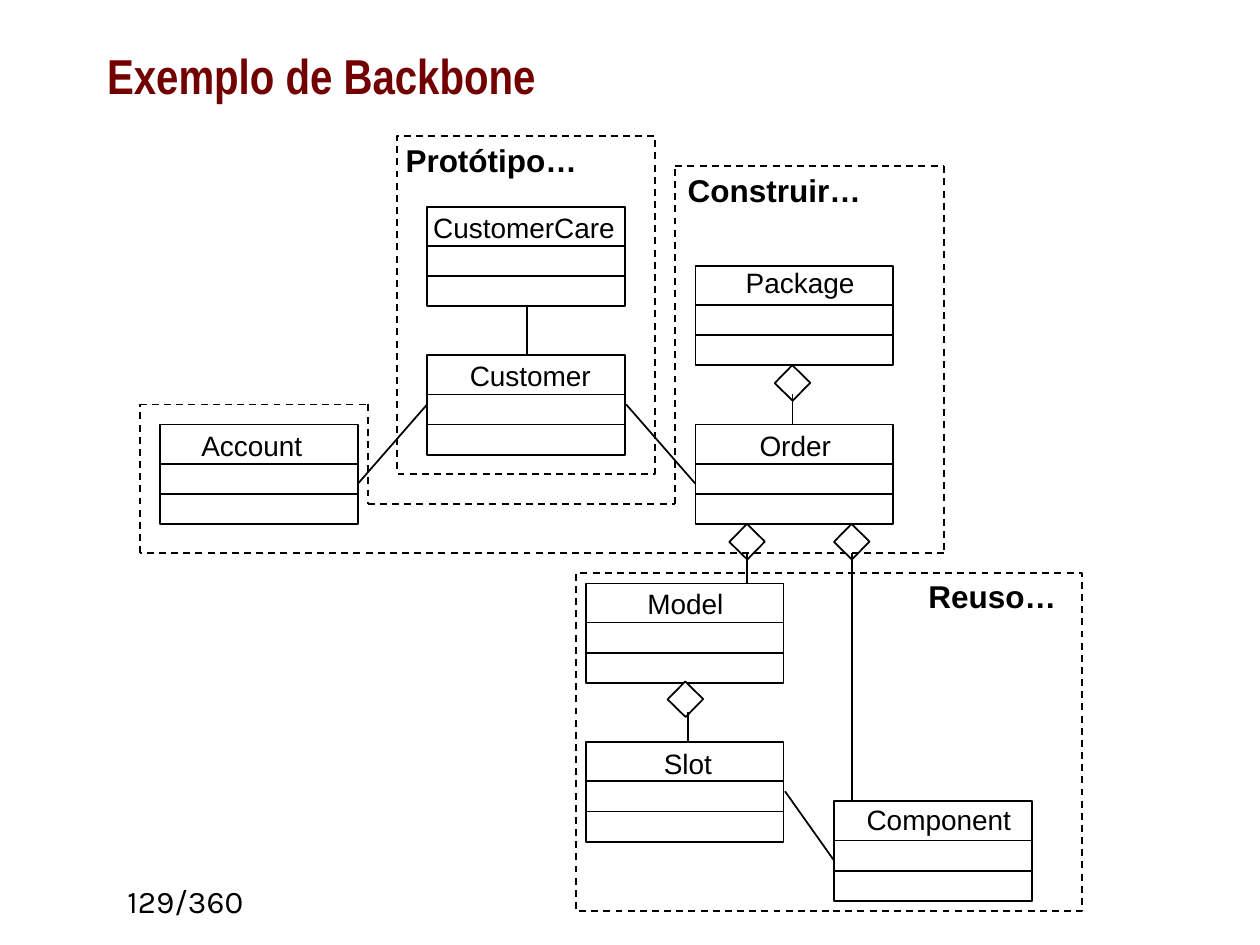
from dataclasses import dataclass
from itertools import pairwise

import pptx
import pptx.dml.color
import pptx.enum.dml
import pptx.enum.shapes
import pptx.enum.text
import pptx.oxml
import pptx.oxml.ns
import pptx.util

Inches = pptx.util.Inches
Pt = pptx.util.Pt
Point = tuple[float, float]

BLACK = pptx.dml.color.RGBColor(0x00, 0x00, 0x00)
WHITE = pptx.dml.color.RGBColor(0xFF, 0xFF, 0xFF)
MAROON = pptx.dml.color.RGBColor(0x72, 0x00, 0x00)

CLASS_WIDTH, CLASS_HEIGHT = 1.57, 0.79
COMPARTMENT_OFFSETS = (0.31, 0.55)
DIAMOND_SIDE, DIAMOND_ANGLE = 0.2, 44.4


@dataclass(frozen=True)
class Label:
    text: str
    left: float
    top: float
    width: float
    height: float = 0.37
    size: int = 16
    bold: bool = False


@dataclass(frozen=True)
class UmlClass:
    left: float
    top: float
    label: Label


@dataclass(frozen=True)
class Region:
    left: float
    top: float
    width: float
    height: float
    label: Label


CLASSES = (
    UmlClass(3.39, 1.64, Label("CustomerCare", 3.34, 1.62, 1.66)),
    UmlClass(3.39, 2.82, Label("Customer", 3.63, 2.8, 1.18)),
    UmlClass(1.27, 3.37, Label("Account", 1.5, 3.35, 1.05)),
    UmlClass(5.52, 3.37, Label("Order", 5.93, 3.35, 0.78)),
    UmlClass(5.52, 2.11, Label("Package", 5.82, 2.06, 1.08)),
    UmlClass(4.65, 4.63, Label("Model", 5.04, 4.61, 0.83)),
    UmlClass(4.65, 5.89, Label("Slot", 5.17, 5.88, 0.59)),
    UmlClass(6.62, 6.36, Label("Component", 6.78, 6.32, 1.36)),
)
DIAMONDS: tuple[Point, ...] = ((5.83, 4.2), (6.19, 2.94), (6.66, 4.2), (5.34, 5.45))
ASSOCIATIONS: tuple[tuple[Point, Point], ...] = (
    ((6.29, 3.13), (6.29, 3.37)),
    ((5.93, 4.39), (5.93, 4.63)),
    ((6.76, 4.39), (6.76, 6.36)),
    ((5.46, 5.65), (5.46, 5.89)),
    ((6.23, 6.28), (6.62, 6.83)),
    ((4.97, 3.21), (5.52, 3.84)),
    ((4.18, 2.42), (4.18, 2.82)),
    ((3.39, 3.21), (2.84, 3.84)),
)
REGIONS = (
    Region(3.15, 1.08, 2.05, 2.68,
           Label("Protótipo…", 3.12, 1.07, 1.58, 0.4, 18, True)),
    Region(4.57, 4.55, 4.02, 2.68,
           Label("Reuso…", 7.27, 4.53, 1.23, 0.4, 18, True)),
)
BUILD_CORNERS: tuple[Point, ...] = (
    (1.11, 4.39), (1.11, 3.21), (2.92, 3.21), (2.92, 4),
    (5.36, 4), (5.36, 1.32), (7.49, 1.32), (7.49, 4.39),
)
BUILD_LABEL = Label("Construir…", 5.36, 1.31, 1.59, 0.4, 18, True)


def style_line(line, dashed: bool) -> None:
    line.color.rgb = BLACK
    line.width = Pt(1)
    if dashed:
        line.dash_style = pptx.enum.dml.MSO_LINE.DASH


def add_line(page, start: Point, end: Point, dashed: bool = False) -> None:
    connector = page.shapes.add_connector(
        pptx.enum.shapes.MSO_CONNECTOR.STRAIGHT,
        *(Inches(value) for value in (*start, *end)))
    style_line(connector.line, dashed)
    properties = connector._element.spPr
    properties.append(pptx.oxml.parse_xml(
        f"<a:effectLst {pptx.oxml.ns.nsdecls('a')}/>"))


def add_rectangle(page, left: float, top: float, width: float, height: float,
                  dashed: bool = False):
    """Add an unfilled outline and return it."""
    box = page.shapes.add_shape(
        pptx.enum.shapes.MSO_SHAPE.RECTANGLE,
        Inches(left), Inches(top), Inches(width), Inches(height))
    box.shadow.inherit = False
    box.fill.background()
    style_line(box.line, dashed)
    return box


def add_span(para, text: str, font: str, size: int, color=BLACK, bold: bool = False) -> None:
    span = para.add_run()
    span.text = text
    span.font.name = font
    span.font.size = Pt(size)
    span.font.color.rgb = color
    span.font.bold = bold


def add_label(page, label: Label) -> None:
    box = page.shapes.add_textbox(
        Inches(label.left), Inches(label.top), Inches(label.width), Inches(label.height))
    box.text_frame.word_wrap = False
    box.text_frame.auto_size = pptx.enum.text.MSO_AUTO_SIZE.SHAPE_TO_FIT_TEXT
    add_span(box.text_frame.paragraphs[0], label.text, "Arial", label.size, bold=label.bold)


def add_class(page, item: UmlClass) -> None:
    add_rectangle(page, item.left, item.top, CLASS_WIDTH, CLASS_HEIGHT)
    for offset in COMPARTMENT_OFFSETS:
        y = item.top + offset
        add_line(page, (item.left, y), (item.left + CLASS_WIDTH, y))
    add_label(page, item.label)


def add_diamond(page, corner: Point) -> None:
    diamond = add_rectangle(page, *corner, DIAMOND_SIDE, DIAMOND_SIDE)
    diamond.rotation = DIAMOND_ANGLE
    diamond.fill.solid()
    diamond.fill.fore_color.rgb = WHITE


def add_title(page) -> None:
    title = page.shapes.title
    title.left, title.top = Inches(0.75), Inches(-0.03)
    title.width, title.height = Inches(8.5), Inches(1.25)
    title.text_frame.vertical_anchor = pptx.enum.text.MSO_ANCHOR.MIDDLE
    para = title.text_frame.paragraphs[0]
    para.alignment = pptx.enum.text.PP_ALIGN.LEFT
    add_span(para, "Exemplo de Backbone", "Arial Narrow", 28, MAROON, True)


def add_page_number(page) -> None:
    box = page.shapes.add_textbox(Inches(0.86), Inches(6.95), Inches(1.17), Inches(0.39))
    box.text_frame.word_wrap = True
    para = box.text_frame.paragraphs[0]
    para.alignment = pptx.enum.text.PP_ALIGN.RIGHT
    add_span(para, "129/360", "Karla", 18)


def main() -> None:
    deck = pptx.Presentation()
    deck.slide_width, deck.slide_height = Inches(10), Inches(7.5)
    page = deck.slides.add_slide(deck.slide_layouts.get_by_name("Title Only"))
    add_title(page)
    for item in CLASSES:
        add_class(page, item)
    for corner in DIAMONDS:
        add_diamond(page, corner)
    for start, end in ASSOCIATIONS:
        add_line(page, start, end)
    for region in REGIONS:
        add_rectangle(page, region.left, region.top, region.width, region.height, dashed=True)
        add_label(page, region.label)
    for start, end in pairwise((*BUILD_CORNERS, BUILD_CORNERS[0])):
        add_line(page, start, end, dashed=True)
    add_label(page, BUILD_LABEL)
    add_page_number(page)
    deck.save("out.pptx")


if __name__ == "__main__":
    main()
